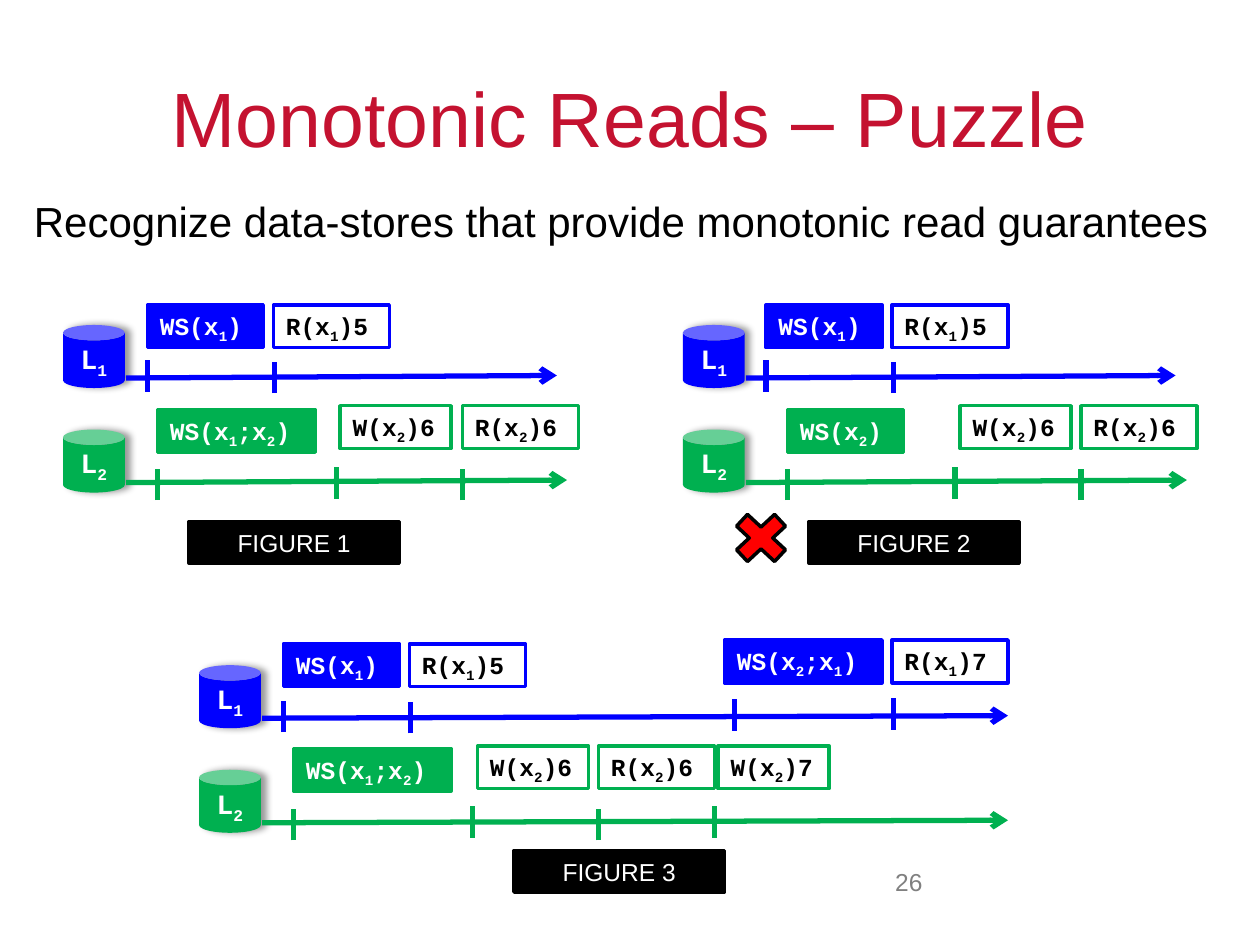
from lxml.etree import SubElement
from pptx import Presentation
from pptx.dml.color import RGBColor
from pptx.enum.shapes import MSO_CONNECTOR, MSO_SHAPE
from pptx.enum.text import MSO_ANCHOR, MSO_AUTO_SIZE, PP_ALIGN
from pptx.oxml.ns import qn
from pptx.util import Inches, Pt

COLORS = {
    "title": "C41230", "blue": "0000FF", "green": "00B050", "red": "FF0000",
    "black": "000000", "white": "FFFFFF", "gray": "808080",
}
WIDTHS = {"WS(x_1;x_2)": 1.25, "WS(x_2;x_1)": 1.25, "W(x_2)6": 0.88, "W(x_2)7": 0.88}
EVENT_WIDTH = 0.92
ROW_GAP = 0.83
FIGURES = [
    {
        "name": "FIGURE 1", "left": 0.5, "top": 2.58, "caption": (1.5, 4.14),
        "rows": [
            ("blue", "L_1", 4.42, [("WS(x_1)", 1.17, 2.42, 1.17, 2.86),
                                   ("R(x_1)5", 2.17, 2.42, 2.18, 2.87)]),
            ("green", "L_2", 4.5, [("WS(x_1;x_2)", 1.25, 3.25, 1.25, 3.72),
                                   ("W(x_2)6", 2.7, 3.22, 2.67, 3.71),
                                   ("R(x_2)6", 3.67, 3.22, 3.67, 3.72)]),
        ],
    },
    {
        "name": "FIGURE 2", "left": 5.42, "top": 2.58, "caption": (6.42, 4.14),
        "rows": [
            ("blue", "L_1", 9.33, [("WS(x_1)", 6.08, 2.42, 6.08, 2.86),
                                   ("R(x_1)5", 7.08, 2.42, 7.09, 2.87)]),
            ("green", "L_2", 9.42, [("WS(x_2)", 6.25, 3.25, 6.25, 3.72),
                                    ("W(x_2)6", 7.62, 3.22, 7.58, 3.71),
                                    ("R(x_2)6", 8.58, 3.22, 8.58, 3.72)]),
        ],
    },
    {
        "name": "FIGURE 3", "left": 1.58, "top": 5.28, "caption": (4.08, 6.75),
        "rows": [
            ("blue", "L_1", 8, [("WS(x_1)", 2.25, 5.11, 2.25, 5.56),
                                ("R(x_1)5", 3.25, 5.11, 3.26, 5.57),
                                ("WS(x_2;x_1)", 5.75, 5.08, 5.83, 5.55),
                                ("R(x_1)7", 7.08, 5.08, 7.09, 5.54)]),
            ("green", "L_2", 8, [("WS(x_1;x_2)", 2.33, 5.94, 2.33, 6.42),
                                 ("W(x_2)6", 3.79, 5.92, 3.75, 6.4),
                                 ("R(x_2)6", 4.75, 5.92, 4.75, 6.42),
                                 ("W(x_2)7", 5.7, 5.92, 5.67, 6.4)]),
        ],
    },
]


def rgb(name):
    return RGBColor.from_string(COLORS[name])


def write_text(shape, text, size=14, color="black", font="Arial", bold=False,
               align=PP_ALIGN.LEFT, anchor=MSO_ANCHOR.TOP, grow=False):
    """Fill a shape with one paragraph; an underscore lowers the next character."""
    frame = shape.text_frame
    frame.word_wrap = True
    frame.vertical_anchor = anchor
    frame.auto_size = MSO_AUTO_SIZE.SHAPE_TO_FIT_TEXT if grow else MSO_AUTO_SIZE.NONE
    para = frame.paragraphs[0]
    para.alignment = align
    first, *others = text.split("_")
    pieces = [(first, False)]
    for part in others:
        pieces += [(part[:1], True), (part[1:], False)]
    for piece, lowered in pieces:
        if not piece:
            continue
        span = para.add_run()
        span.text = piece
        span.font.name = font
        span.font.size = Pt(size)
        span.font.bold = bold
        span.font.color.rgb = rgb(color)
        if lowered:
            span.font._element.set("baseline", "-25000")


class PuzzleSlide:
    """Holds the slide style and the container that receives new shapes."""

    mono = "Courier New"
    border = 2
    stroke = 3

    def __init__(self, page):
        self.page = page
        self.shapes = page.shapes

    def text(self, text, left, top, width, height, **style):
        box = self.shapes.add_textbox(Inches(left), Inches(top), Inches(width), Inches(height))
        write_text(box, text, **style)

    def shape(self, kind, left, top, width, height, fill, line=None):
        shape = self.shapes.add_shape(kind, Inches(left), Inches(top), Inches(width), Inches(height))
        shape.shadow.inherit = False
        shape.fill.solid()
        shape.fill.fore_color.rgb = rgb(fill)
        if line:
            shape.line.color.rgb = rgb(line)
            shape.line.width = Pt(self.border)
        else:
            shape.line.fill.background()
        return shape

    def line(self, start, end, color, arrow=False):
        ends = [Inches(value) for value in (*start, *end)]
        line = self.shapes.add_connector(MSO_CONNECTOR.STRAIGHT, *ends)
        line.line.color.rgb = rgb(color)
        line.line.width = Pt(self.stroke)
        if arrow:
            SubElement(line.line._get_or_add_ln(), qn("a:tailEnd"), type="arrow")
        SubElement(line._element.spPr, qn("a:effectLst"))

    def store(self, label, left, top, color):
        can = self.shape(MSO_SHAPE.CAN, left, top, 0.49, 0.5, color)
        effects = can._element.spPr.find(qn("a:effectLst"))
        shadow = SubElement(effects, qn("a:outerShdw"), blurRad=str(Pt(4)), dist=str(Pt(3)),
                            dir="0", algn="l", rotWithShape="0")
        tint = SubElement(shadow, qn("a:srgbClr"), val=COLORS["black"])
        SubElement(tint, qn("a:alpha"), val="40000")
        write_text(can, label, size=16, color="white", font=self.mono, bold=True,
                   align=PP_ALIGN.CENTER, anchor=MSO_ANCHOR.MIDDLE)

    def event(self, label, left, top, tick_x, tick_top, color):
        write_set = label.startswith("WS")
        box = self.shape(MSO_SHAPE.RECTANGLE, left, top, WIDTHS.get(label, EVENT_WIDTH), 0.34,
                         color if write_set else "white", color)
        write_text(box, label, color="white" if write_set else "black",
                   font=self.mono, bold=True, grow=True)
        self.line((tick_x, tick_top + 0.25), (tick_x, tick_top), color)

    def caption(self, text, left, top):
        box = self.shape(MSO_SHAPE.RECTANGLE, left, top, 1.67, 0.33, "black", "black")
        write_text(box, text, color="white", align=PP_ALIGN.CENTER, anchor=MSO_ANCHOR.MIDDLE)

    def figure(self, name, left, top, caption, rows):
        self.shapes = self.page.shapes.add_group_shape().shapes
        for index, (color, label, end, events) in enumerate(rows):
            row_top = top + index * ROW_GAP
            self.store(label, left, row_top, color)
            self.line((left + 0.5, row_top + 0.42), (end, row_top + 0.4), color, arrow=True)
            for event in events:
                self.event(*event, color)
        self.caption(name, *caption)
        self.shapes = self.page.shapes


def main():
    deck = Presentation()
    deck.slide_width, deck.slide_height = Inches(10), Inches(7.5)
    slide = PuzzleSlide(deck.slides.add_slide(deck.slide_layouts[6]))
    slide.text("Monotonic Reads – Puzzle", 0.5, 0.3, 9, 1.25, size=44, color="title",
               align=PP_ALIGN.CENTER, anchor=MSO_ANCHOR.MIDDLE)
    slide.text("26", 6.5, 6.83, 0.92, 0.52, color="gray", align=PP_ALIGN.RIGHT)
    slide.text("Recognize data-stores that provide monotonic read guarantees",
               0.17, 1.5, 9.58, 0.5, size=24, grow=True)
    for figure in FIGURES:
        slide.figure(**figure)
    slide.shape(MSO_SHAPE.MATH_MULTIPLY, 5.75, 4, 0.58, 0.54, "red", "black")
    deck.save("out.pptx")


if __name__ == "__main__":
    main()
